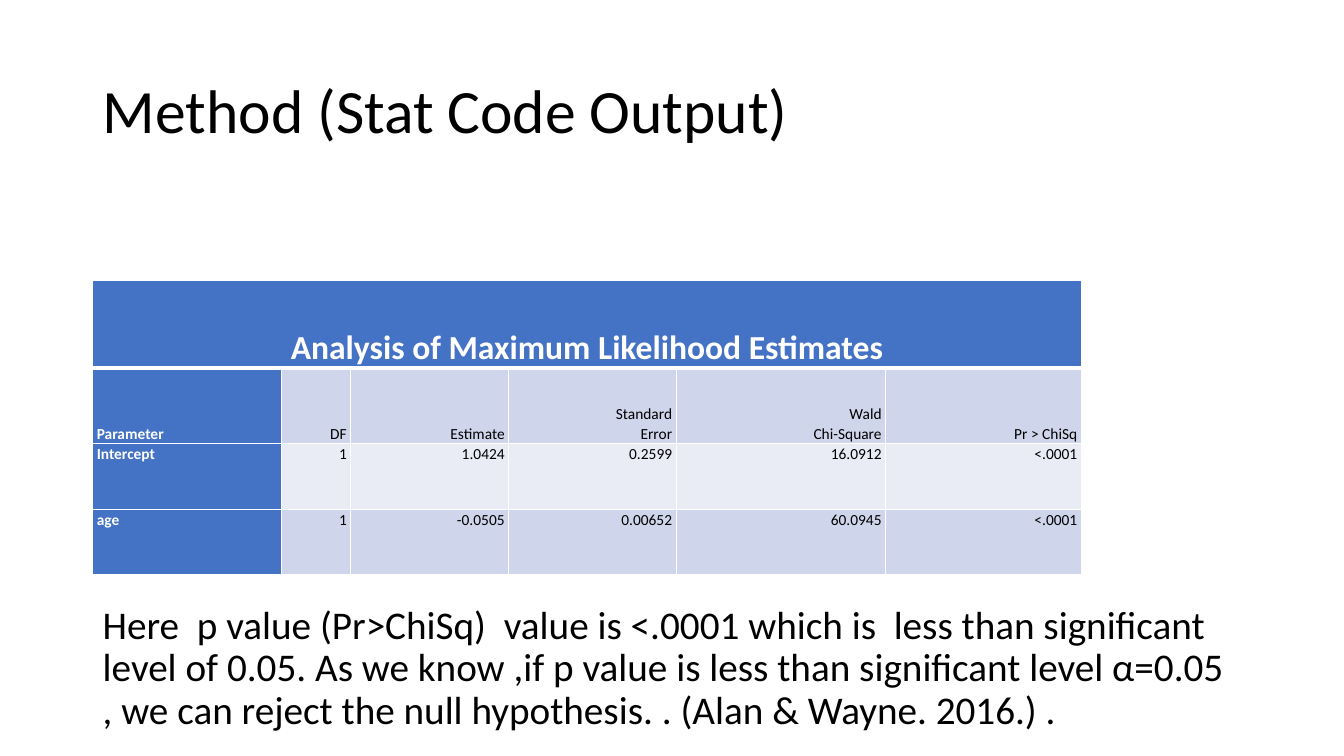
from copy import deepcopy
from dataclasses import dataclass

from lxml import etree
from pptx import Presentation
from pptx import util as u
from pptx.dml import color
from pptx.enum import text
from pptx.oxml import ns


@dataclass(frozen=True)
class Theme:
    font: str = "Calibri"
    ink: str = "000000"
    paper: str = "FFFFFF"
    accent: str = "4472C4"
    band_dark: str = "CFD5EA"
    band_light: str = "E9EBF5"
    title_size: int = 44
    body_size: int = 28
    caption_size: int = 24
    cell_size: int = 11


THEME = Theme()
LEFT, WIDTH = 2.34, 28.9
CAPTION = "Analysis of Maximum Likelihood Estimates"
ESTIMATES = [
    ["Parameter", "DF", "Estimate", "Standard\vError", "Wald\vChi-Square", "Pr > ChiSq"],
    ["Intercept", "1", "1.0424", "0.2599", "16.0912", "<.0001"],
    ["age", "1", "-0.0505", "0.00652", "60.0945", "<.0001"],
]
COLUMN_WIDTHS = [4.75, 1.75, 3.98, 4.22, 5.28, 4.93]
ROW_HEIGHTS = [2.22, 1.9, 1.65, 1.65]
CONCLUSION = (
    "Here  p value (Pr>ChiSq)  value is <.0001 which is  less than significant "
    "level of 0.05. As we know ,if p value is less than significant level "
    "α=0.05 , we can reject the null hypothesis. . (Alan & Wayne. 2016.) ."
)


def write(frame, words, size, ink=THEME.ink, bold=False,
          align=text.PP_ALIGN.LEFT, spacing=0.9):
    paragraph = frame.paragraphs[0]
    paragraph.text = words
    paragraph.alignment = align
    paragraph.line_spacing = spacing
    for run in paragraph.runs:
        run.font.name = THEME.font
        run.font.size = u.Pt(size)
        run.font.bold = bold
        run.font.color.rgb = color.RGBColor.from_string(ink)
    # Line breaks need the same format to keep the line height
    for line_break in paragraph._p.findall(ns.qn("a:br")):
        line_break.append(deepcopy(paragraph.runs[0]._r.rPr))


def add_text(slide, box, words, size, anchor):
    frame = slide.shapes.add_textbox(*map(u.Cm, box)).text_frame
    frame.word_wrap = True
    frame.vertical_anchor = anchor
    write(frame, words, size)


def set_borders(cell, **points):
    """Draw white borders; points gives the width for L, R, T and B."""
    properties = cell._tc.get_or_add_tcPr()
    for side, width in points.items():
        line = etree.SubElement(properties, ns.qn(f"a:ln{side}"), w=str(u.Pt(width)))
        fill = etree.SubElement(line, ns.qn("a:solidFill"))
        etree.SubElement(fill, ns.qn("a:srgbClr"), val=THEME.paper)


def style_cell(cell, fill, anchor):
    cell.fill.solid()
    cell.fill.fore_color.rgb = color.RGBColor.from_string(fill)
    cell.vertical_anchor = anchor
    cell.margin_left = cell.margin_right = u.Cm(0.1)
    cell.margin_top = cell.margin_bottom = 0


def add_estimates(slide, left, top):
    size = (sum(COLUMN_WIDTHS), sum(ROW_HEIGHTS))
    table = slide.shapes.add_table(
        len(ROW_HEIGHTS), len(COLUMN_WIDTHS), *map(u.Cm, (left, top, *size))).table
    for column, width in zip(table.columns, COLUMN_WIDTHS):
        column.width = u.Cm(width)
    for row, height in zip(table.rows, ROW_HEIGHTS):
        row.height = u.Cm(height)

    for cell in table.rows[0].cells:
        set_borders(cell, L=1, R=1, T=1, B=3)
        style_cell(cell, THEME.accent, text.MSO_ANCHOR.BOTTOM)
    caption = table.cell(0, 0)
    caption.merge(table.cell(0, len(COLUMN_WIDTHS) - 1))
    write(caption.text_frame, CAPTION, THEME.caption_size, ink=THEME.paper,
          bold=True, align=text.PP_ALIGN.CENTER, spacing=1.06)

    for r, values in enumerate(ESTIMATES, start=1):
        heading = r == 1
        band = THEME.band_dark if r % 2 else THEME.band_light
        anchor = text.MSO_ANCHOR.BOTTOM if heading else text.MSO_ANCHOR.TOP
        for c, value in enumerate(values):
            label = c == 0
            cell = table.cell(r, c)
            set_borders(cell, L=1, R=1, T=3 if heading else 1, B=1)
            style_cell(cell, THEME.accent if label else band, anchor)
            write(cell.text_frame, value, THEME.cell_size, bold=label,
                  ink=THEME.paper if label else THEME.ink, spacing=1.06,
                  align=text.PP_ALIGN.LEFT if label else text.PP_ALIGN.RIGHT)


def main():
    deck = Presentation()
    deck.slide_width, deck.slide_height = u.Cm(33.87), u.Cm(19.05)
    slide = deck.slides.add_slide(deck.slide_layouts[6])
    add_text(slide, (LEFT, 1.02, WIDTH, 3.68), "Method (Stat Code Output)",
             THEME.title_size, text.MSO_ANCHOR.MIDDLE)
    add_estimates(slide, LEFT, 7.06)
    add_text(slide, (LEFT, 15.14, WIDTH, 3.5), CONCLUSION,
             THEME.body_size, text.MSO_ANCHOR.TOP)
    deck.save("out.pptx")


if __name__ == "__main__":
    main()
